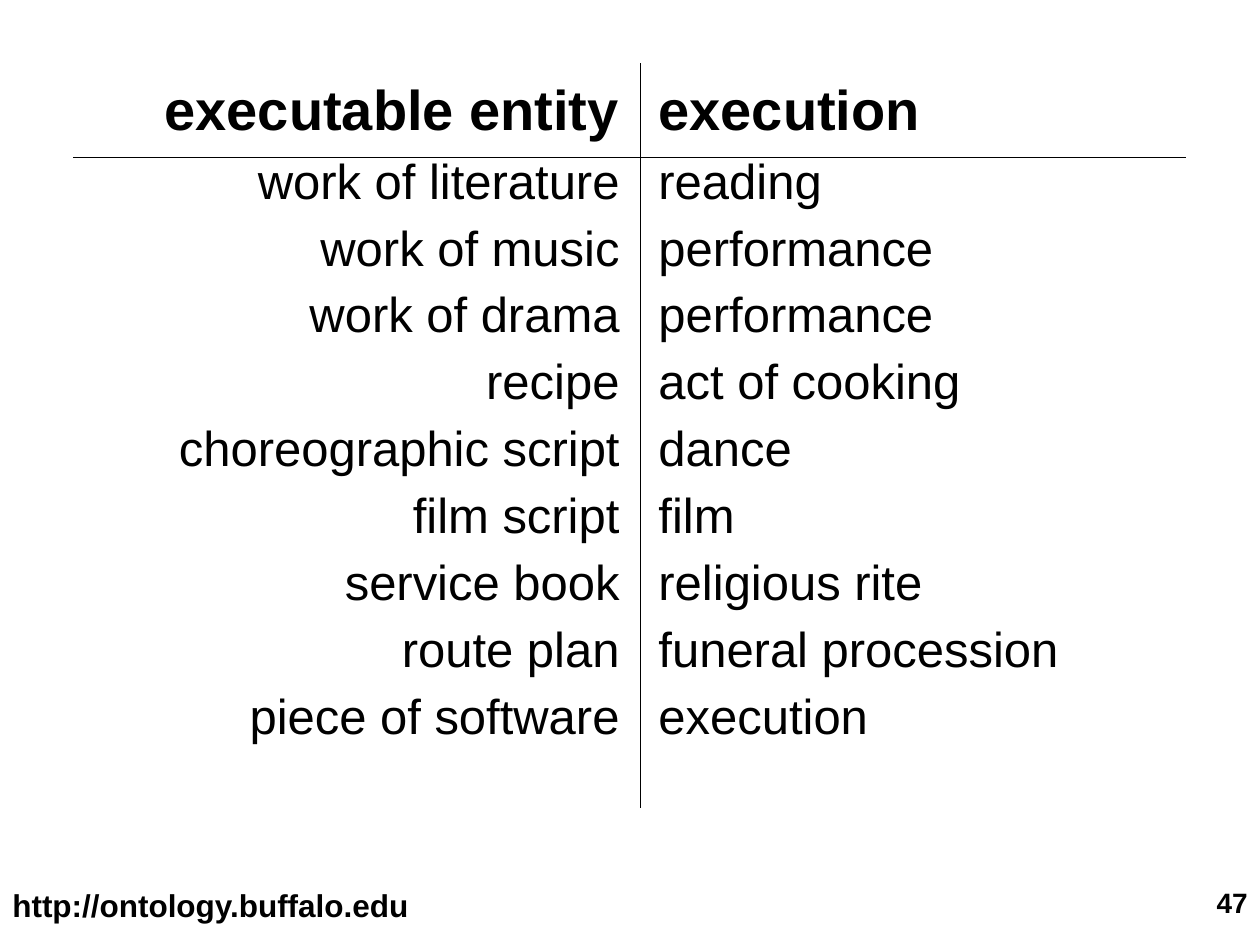
from typing import NamedTuple

from lxml import etree
from pptx import Presentation
from pptx import util as u
from pptx.dml.color import RGBColor
from pptx.enum import shapes, text
from pptx.oxml import ns

COLOURS = {"background": "FFFFFF", "ink": "000000"}
FONT = "Arial"
LEFT, RIGHT = text.PP_ALIGN.LEFT, text.PP_ALIGN.RIGHT
NO_GRID_STYLE = "{2D5ABB26-0587-4C30-8999-92F81FD0307C}"
GRID = 1 / 12
ROW_HEIGHTS = [6.28, 0.6]


class Pair(NamedTuple):
    entity: str
    execution: str


class Column(NamedTuple):
    width: float
    left_margin: float
    align: text.PP_ALIGN


class Footer(NamedTuple):
    content: str
    left: float
    width: float
    size: int
    align: text.PP_ALIGN


class Rule(NamedTuple):
    x1: int
    y1: int
    x2: int
    y2: int


PAIRS = [
    Pair("executable entity", "execution"),
    Pair("work of literature", "reading"),
    Pair("work of music", "performance"),
    Pair("work of drama", "performance"),
    Pair("recipe", "act of cooking"),
    Pair("choreographic script", "dance"),
    Pair("film script", "film"),
    Pair("service book", "religious rite"),
    Pair("route plan", "funeral procession"),
    Pair("piece of software", "execution"),
]
COLUMNS = [Column(4.1, 0.1, RIGHT), Column(3.73, 0.21, LEFT)]
FOOTERS = [
    Footer("http://ontology.buffalo.edu", 0, 3.67, 18, LEFT),
    Footer("47", 7.67, 2.33, 16, RIGHT),
]
RULES = [Rule(7, 15, 113, 15), Rule(61, 6, 61, 77)]


def colour(name: str) -> RGBColor:
    return RGBColor.from_string(COLOURS[name])


def grid(steps: int) -> u.Length:
    return u.Inches(steps * GRID)


def write(paragraph, content: str, *, size: int, bold: bool = False,
          align: text.PP_ALIGN = LEFT, before: int = 0) -> None:
    paragraph.alignment = align
    paragraph.space_before = u.Pt(before)
    run = paragraph.add_run()
    run.text = content
    run.font.name = FONT
    run.font.size = u.Pt(size)
    run.font.bold = bold
    run.font.color.rgb = colour("ink")


def draw_footer(slide, footer: Footer) -> None:
    box = slide.shapes.add_textbox(u.Inches(footer.left), u.Inches(6.98),
                                   u.Inches(footer.width), u.Inches(0.52))
    box.text_frame.word_wrap = True
    write(box.text_frame.paragraphs[0], footer.content,
          size=footer.size, bold=True, align=footer.align)


def draw_table(slide) -> None:
    width = sum(column.width for column in COLUMNS)
    frame = slide.shapes.add_table(len(ROW_HEIGHTS), len(COLUMNS), grid(11), grid(7),
                                   u.Inches(width), u.Inches(sum(ROW_HEIGHTS)))
    table = frame.table
    table.first_row = table.horz_banding = False
    frame._element.find(".//" + ns.qn("a:tableStyleId")).text = NO_GRID_STYLE
    for row, height in zip(table.rows, ROW_HEIGHTS):
        row.height = u.Inches(height)
    for cell in table.iter_cells():
        cell.fill.background()
    for index, (column, entries) in enumerate(zip(COLUMNS, zip(*PAIRS))):
        table.columns[index].width = u.Inches(column.width)
        cell = table.cell(0, index)
        cell.margin_left = u.Inches(column.left_margin)
        heading, *items = entries
        write(cell.text_frame.paragraphs[0], heading,
              size=32, bold=True, align=column.align)
        for item in items:
            write(cell.text_frame.add_paragraph(), item,
                  size=28, align=column.align, before=7)


def draw_rule(slide, rule: Rule) -> None:
    connector = slide.shapes.add_connector(
        shapes.MSO_CONNECTOR.STRAIGHT, *(grid(steps) for steps in rule))
    connector.line.color.rgb = colour("ink")
    connector.line.width = u.Pt(0.75)
    etree.SubElement(connector._element.spPr, ns.qn("a:effectLst"))


def main() -> None:
    presentation = Presentation()
    presentation.slide_width = u.Inches(10)
    presentation.slide_height = u.Inches(7.5)
    slide = presentation.slides.add_slide(presentation.slide_layouts[6])
    slide.background.fill.solid()
    slide.background.fill.fore_color.rgb = colour("background")
    for footer in FOOTERS:
        draw_footer(slide, footer)
    draw_table(slide)
    for rule in RULES:
        draw_rule(slide, rule)
    presentation.save("out.pptx")


if __name__ == "__main__":
    main()
